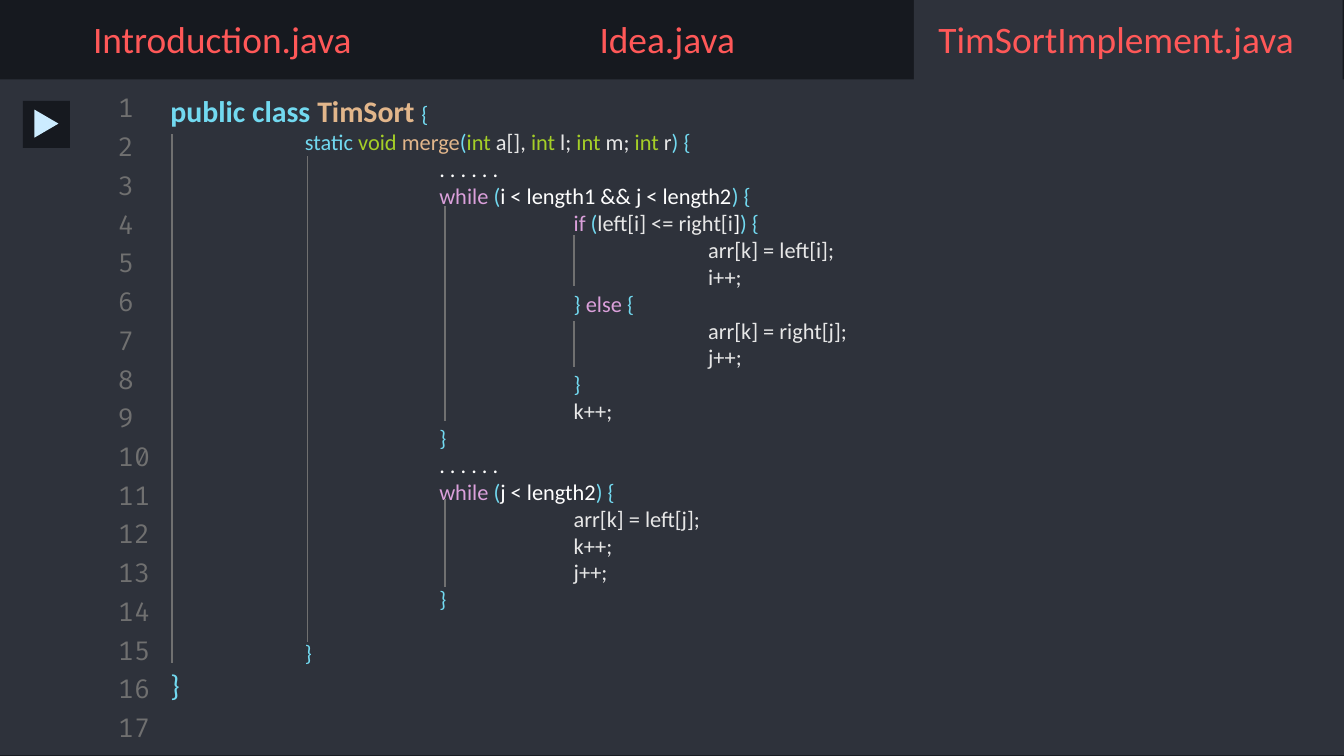
from pptx import Presentation
from pptx import util as u
from pptx.dml.color import RGBColor
from pptx.enum import shapes, text
from pptx.oxml.ns import qn
from lxml import etree

COLORS = {
    "dark": "16191F", "panel": "2E323B", "gray": "707070", "red": "FF5858",
    "play": "CCECFF", "c": "72D9F0", "o": "E2B68B", "g": "A5CF27",
    "p": "DBA0DB", "t": "E7E7E7", "w": "FFFFFF",
}
CODE = [
    (0, "@cpublic class @oTimSort @c{"),
    (1, "@cstatic @gvoid @omerge@c(@gint@t a[], @gint@t l; @gint@t m; @gint@t r@c) {"),
    (2, "@w. . . . . ."),
    (2, "@pwhile @c(@wi < length1 && j < length2@c) {"),
    (3, "@pif @c(@tleft[i] <= right[i@w]@c) {"),
    (4, "@tarr[k] = left[i];"),
    (4, "@ti++;"),
    (3, "@c} @pelse @c{"),
    (4, "@tarr[k] = right[j];"),
    (4, "@tj++;"),
    (3, "@c}"),
    (3, "@tk++;"),
    (2, "@c}"),
    (2, "@w. . . . . ."),
    (2, "@pwhile @c(@wj < length2@c) {"),
    (3, "@tarr[k] = left[j];"),
    (3, "@tk++;"),
    (3, "@tj++;"),
    (2, "@c}"),
    (1, "@c}"),
    (0, "@c}"),
]
GUIDES = [
    (1.28, 1, 4.93), (2.29, 1.16, 4.78), (3.31, 1.53, 3.13),
    (4.27, 1.75, 2.13), (4.27, 2.39, 2.73), (3.31, 3.71, 4.37),
]


def color(key):
    """Return the colour behind a key."""
    return RGBColor.from_string(COLORS[key])


def inches(*vals):
    """Turn numbers into lengths."""
    return [u.Inches(v) for v in vals]


def add_block(slide, kind, box, key):
    """Add a plain filled shape."""
    block = slide.shapes.add_shape(kind, *inches(*box))
    block.shadow.inherit = False
    block.fill.solid()
    block.fill.fore_color.rgb = color(key)
    block.line.fill.background()
    return block


def set_label(shape, words, size, face, key, align):
    """Write one line, centred in height, into a shape."""
    frame = shape.text_frame
    frame.word_wrap = True
    frame.auto_size = text.MSO_AUTO_SIZE.NONE
    frame.vertical_anchor = text.MSO_ANCHOR.MIDDLE
    frame.text = words
    para = frame.paragraphs[0]
    para.alignment = align
    para.font.size = u.Pt(size)
    para.font.name = face
    para.font.color.rgb = color(key)


def add_tabs(slide):
    """Add the file tabs, the open one as the title."""
    add_block(slide, shapes.MSO_SHAPE.RECTANGLE, (6.8, 0, 3.19, 0.75), "panel")
    title = slide.shapes.title
    title.element.getparent().append(title.element)
    title.left, title.top, title.width, title.height = inches(6.61, 0, 3.39, 0.57)
    tabs = [slide.shapes.add_textbox(*inches(x, 0, 3.31, 0.57)) for x in (0, 3.31)]
    names = ["Introduction.java", "Idea.java", "TimSortImplement.java"]
    for tab, name in zip(tabs + [title], names):
        set_label(tab, name, 20, "Calibri", "red", text.PP_ALIGN.CENTER)


def add_numbers(slide, count):
    """Add the column of line numbers."""
    step = (5.29 - 0.68) / (count - 1)
    for row in range(count):
        box = slide.shapes.add_textbox(*inches(0.78, 0.68 + row * step, 0.47, 0.24))
        set_label(box, str(row + 1), 14, "Fira Code", "gray", text.PP_ALIGN.LEFT)


def set_stops(para, count):
    """Put a tab stop at every inch."""
    stops = etree.SubElement(para._p.get_or_add_pPr(), qn("a:tabLst"))
    for n in range(1, count + 1):
        etree.SubElement(stops, qn("a:tab"), pos=str(u.Inches(n)), algn="l")


def add_code(slide):
    """Add the coloured source code."""
    frame = slide.shapes.add_textbox(*inches(1.17, 0.64, 8.48, 4.68)).text_frame
    frame.word_wrap = True
    for row, (depth, line) in enumerate(CODE):
        para = frame.add_paragraph() if row else frame.paragraphs[0]
        if depth:
            set_stops(para, depth)
        para.font.size = u.Pt(12)
        para.font.name = "Calibri"
        for i, part in enumerate(line.split("@")[1:]):
            run = para.add_run()
            run.text = ("" if i else "\t" * depth) + part[1:]
            run.font.color.rgb = color(part[0])
    first, last = frame.paragraphs[0], frame.paragraphs[-1]
    for run in first.runs[:2]:
        run.font.size = u.Pt(16)
        run.font.bold = True
    last.font.size = u.Pt(16)
    frame.paragraphs[-2].space_before = u.Pt(14.6)


def add_guide(slide, x, top, end):
    """Add one upright indent guide."""
    line = slide.shapes.add_connector(
        shapes.MSO_CONNECTOR.STRAIGHT, *inches(x, top, x, end))
    line.line.color.rgb = color("gray")
    line.line.width = u.Pt(0.75)
    etree.SubElement(line.element.spPr, qn("a:effectLst"))


def add_play(slide):
    """Add the run button."""
    add_block(slide, shapes.MSO_SHAPE.RECTANGLE, (0.17, 0.75, 0.35, 0.35), "dark")
    arrow = add_block(
        slide, shapes.MSO_SHAPE.ISOSCELES_TRIANGLE, (0.24, 0.83, 0.21, 0.18), "play")
    arrow.rotation = 90


def main():
    """Build and save the slide."""
    deck = Presentation()
    deck.slide_width, deck.slide_height = inches(10, 10 * 9 / 16)
    slide = deck.slides.add_slide(deck.slide_layouts[5])
    slide.background.fill.solid()
    slide.background.fill.fore_color.rgb = color("dark")
    add_block(slide, shapes.MSO_SHAPE.RECTANGLE, (0, 0.59, 10, 5.03), "panel")
    add_numbers(slide, 17)
    add_tabs(slide)
    add_code(slide)
    for guide in GUIDES:
        add_guide(slide, *guide)
    add_play(slide)
    deck.save("out.pptx")


if __name__ == "__main__":
    main()
